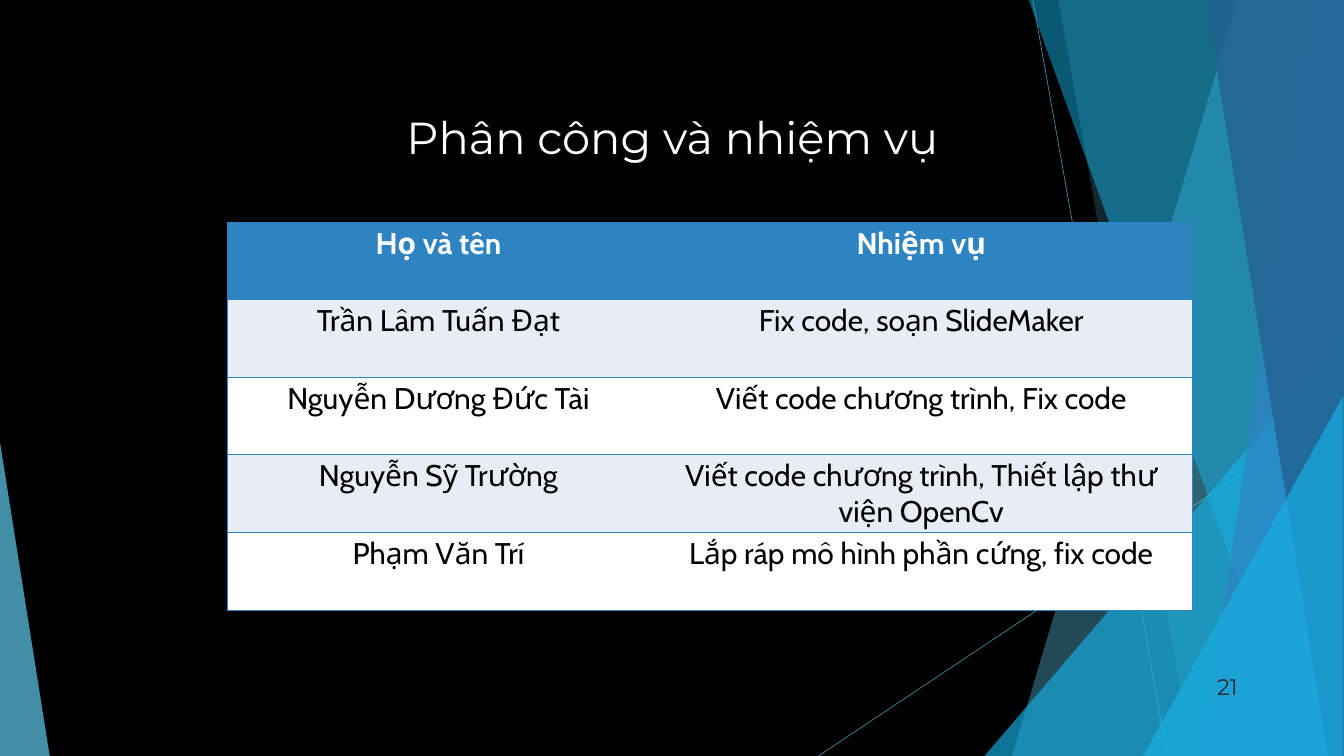
from typing import NamedTuple

from lxml import etree
from pptx import Presentation
from pptx import util as u
from pptx.dml.color import RGBColor
from pptx.enum import shapes as s, text as t
from pptx.oxml.ns import qn

SCALE = 9144  # EMU per px, 100 px to the inch
WIDE, HIGH = 2000, 1125
SKY, CYAN, BLUE, NAVY = "5FCBEF", "17B0E4", "2E83C3", "226292"
WHITE, BLACK, PALE = "FFFFFF", "000000", "E8EDF5"


class Ray(NamedTuple):
    x1: int
    y1: int
    x2: int
    y2: int


class Band(NamedTuple):
    """A strip over the full height, from its top to its foot."""
    top: int
    foot: int
    color: str
    alpha: int


class Wedge(NamedTuple):
    x: int
    y: int
    w: int
    h: int
    tip: int
    color: str
    alpha: int


RAYS = [Ray(1537, 0, 1737, HIGH), Ray(1999, 604, 1218, HIGH)]
DECOR = [
    Band(1842, 1506, SKY, 36),
    Band(1575, 1774, SKY, 20),
    Wedge(1465, 500, 535, 625, 1, CYAN, 66),
    Band(1531, 1937, CYAN, 50),
    Band(1955, 1788, BLUE, 70),
    Band(1794, 1976, NAVY, 80),
    Wedge(1701, 589, 298, 536, 1, CYAN, 66),
    Wedge(0, 658, 74, 467, 0, SKY, 70),
]
TASKS = [
    ("Họ và tên", "Nhiệm vụ"),
    ("Trần Lâm Tuấn Đạt", "Fix code, soạn SlideMaker"),
    ("Nguyễn Dương Đức Tài", "Viết code chương trình, Fix code"),
    ("Nguyễn Sỹ Trường", "Viết code chương trình, Thiết lập thư viện OpenCv"),
    ("Phạm Văn Trí", "Lắp ráp mô hình phần cứng, fix code"),
]
COLS, ROW = (629, 808), 115


def px(*vals: int) -> list[int]:
    return [u.Emu(v * SCALE) for v in vals]


def rgb(color: str) -> RGBColor:
    return RGBColor.from_string(color)


def fade(node, alpha: int) -> None:
    tint = next(node.iter(qn("a:srgbClr")))
    etree.SubElement(tint, qn("a:alpha"), val=str(alpha * 1000))


def paint(shape, color: str, alpha: int) -> None:
    shape.shadow.inherit = False
    shape.fill.solid()
    shape.fill.fore_color.rgb = rgb(color)
    fade(shape._element.spPr, alpha)
    shape.line.fill.background()


def draw_ray(slide, ray: Ray) -> None:
    line = slide.shapes.add_connector(s.MSO_CONNECTOR.STRAIGHT, *px(*ray))
    line.line.color.rgb = rgb(SKY)
    line.line.width = u.Pt(0.75)
    fade(line._element.spPr, 70)
    etree.SubElement(line._element.spPr, qn("a:effectLst"))


def draw_band(slide, band: Band) -> None:
    pen = slide.shapes.build_freeform(band.top, 0, scale=SCALE)
    pen.add_line_segments([(WIDE, 0), (WIDE, HIGH), (band.foot, HIGH)])
    paint(pen.convert_to_shape(), band.color, band.alpha)


def draw_wedge(slide, wedge: Wedge) -> None:
    box = px(wedge.x, wedge.y, wedge.w, wedge.h)
    shape = slide.shapes.add_shape(s.MSO_SHAPE.ISOSCELES_TRIANGLE, *box)
    shape.adjustments[0] = wedge.tip
    paint(shape, wedge.color, wedge.alpha)


def style(para, face: str, size: int, color: str, align, bold: bool = False) -> None:
    para.alignment = align
    font = para.font
    font.name, font.size, font.bold = face, u.Pt(size), bold
    font.color.rgb = rgb(color)


def edge(cell, sides: str) -> None:
    """Draw the named sides of a cell and clear the others."""
    props = cell._tc.get_or_add_tcPr()
    for side in "LRTB":
        line = etree.SubElement(props, qn(f"a:ln{side}"), w=str(u.Pt(1)))
        if side in sides:
            fill = etree.SubElement(line, qn("a:solidFill"))
            etree.SubElement(fill, qn("a:srgbClr"), val=BLUE)
        else:
            etree.SubElement(line, qn("a:noFill"))


def draw_table(slide) -> None:
    box = px(338, 331, sum(COLS), ROW * len(TASKS))
    table = slide.shapes.add_table(len(TASKS), len(COLS), *box).table
    for col, width in zip(table.columns, px(*COLS)):
        col.width = width
    for i, task in enumerate(TASKS):
        table.rows[i].height = px(ROW)[0]
        head = i == 0
        back = BLUE if head else PALE if i % 2 else WHITE
        for j, words in enumerate(task):
            cell = table.cell(i, j)
            edge(cell, "RTB" if j else "LTB")
            cell.fill.solid()
            cell.fill.fore_color.rgb = rgb(back)
            cell.text = words
            style(cell.text_frame.paragraphs[0], "Cabin", 32,
                  WHITE if head else BLACK, t.PP_ALIGN.CENTER, head)


def draw_title(slide) -> None:
    title = slide.shapes.title
    title.left, title.top, title.width, title.height = px(442, 116, 1117, 119)
    frame = title.text_frame
    frame.text = "Phân công và nhiệm vụ"
    frame.auto_size = t.MSO_AUTO_SIZE.NONE
    frame.vertical_anchor = t.MSO_ANCHOR.TOP
    para = frame.paragraphs[0]
    para.line_spacing = u.Pt(88)
    style(para, "Montserrat", 48, WHITE, t.PP_ALIGN.CENTER)


def draw_number(slide) -> None:
    frame = slide.shapes.add_textbox(*px(1750, 1012, 92, 32)).text_frame
    frame.word_wrap = True
    frame.margin_left = frame.margin_right = 0
    frame.margin_top = frame.margin_bottom = 0
    frame.text = "21"
    para = frame.paragraphs[0]
    para.line_spacing = u.Pt(21.8)
    style(para, "Montserrat", 24, "292929", t.PP_ALIGN.RIGHT)


def main() -> None:
    deck = Presentation()
    deck.slide_width, deck.slide_height = px(WIDE, HIGH)
    slide = deck.slides.add_slide(deck.slide_layouts[5])
    slide.background.fill.solid()
    slide.background.fill.fore_color.rgb = rgb(BLACK)

    # Facets at the edges
    for ray in RAYS:
        draw_ray(slide, ray)
    for part in DECOR:
        if isinstance(part, Band):
            draw_band(slide, part)
        else:
            draw_wedge(slide, part)

    # Content
    draw_number(slide)
    draw_table(slide)
    draw_title(slide)
    deck.save("out.pptx")


if __name__ == "__main__":
    main()
